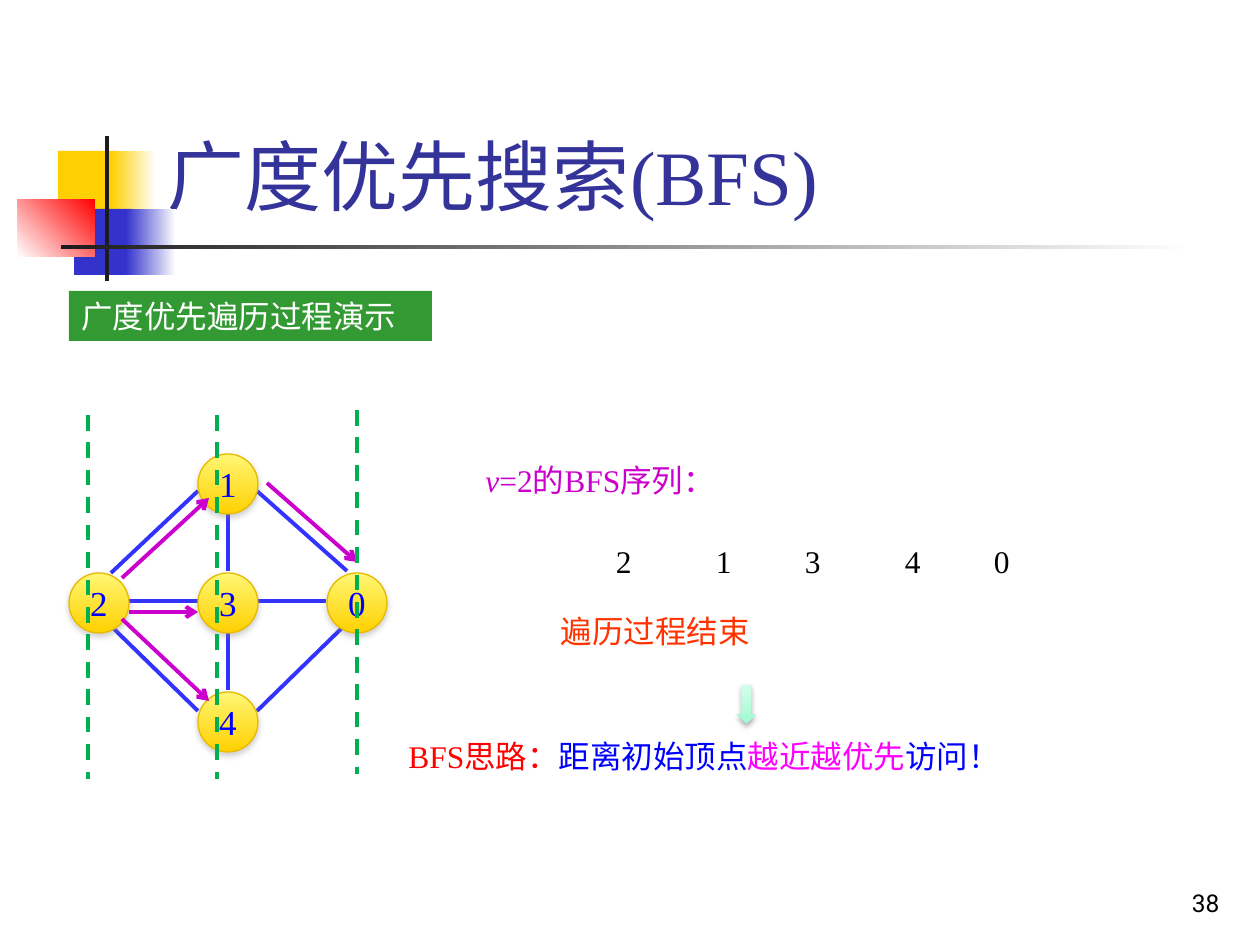
from lxml.etree import SubElement
from pptx import Presentation
from pptx.dml.color import RGBColor
from pptx.enum.dml import MSO_LINE
from pptx.enum.shapes import MSO_CONNECTOR, MSO_SHAPE as SHAPE
from pptx.enum.text import MSO_ANCHOR as ANCHOR, MSO_AUTO_SIZE, PP_ALIGN as ALIGN
from pptx.oxml import parse_xml
from pptx.oxml.ns import nsdecls, qn
from pptx.util import Pt

PX = 914400 / 126


class Theme:
    latin, east_asian, number_font = "Times New Roman", "Noto Sans CJK SC", "Roboto"
    title_size, node_size, body_size, number_size = 44, 20, 18, 14
    line_width, outline_width = 2.25, 0.75
    title, banner, white, black, dark = "333399", "339933", "FFFFFF", "000000", "1C1C1C"
    yellow, blue, red = "FFCF01", "3333CC", "FF0000"
    node_top, node_bottom, node_line, node_text = "FFF776", "FFD000", "E7BA00", "0000FF"
    edge, visit, level = "3333FF", "CC00CC", "00B050"
    done, accent = "FF3300", "FF00FF"
    mint, pale_mint, node_shadow = "A0F9D2", "D2FFEA", "808080"


def write(tf, runs, size, align=ALIGN.LEFT, anchor=ANCHOR.TOP, margin=None, wrap=True, font=Theme.latin):
    """Fill a text frame with one paragraph of (text, colour, italic) runs."""
    frame_format = {"word_wrap": wrap, "vertical_anchor": anchor, "auto_size": MSO_AUTO_SIZE.NONE}
    if margin is not None:
        frame_format.update({f"margin_{side}": margin for side in ("left", "top", "right", "bottom")})
    for name, value in frame_format.items():
        setattr(tf, name, value)
    p = tf.paragraphs[0]
    p.alignment = align
    for text, color, italic in runs:
        r = p.add_run()
        r.text = text
        for name, value in {"name": font, "size": Pt(size), "italic": italic}.items():
            setattr(r.font, name, value)
        r.font.color.rgb = RGBColor.from_string(color)
        SubElement(r.font._element, qn("a:ea"), typeface=Theme.east_asian)


def draw(kind, box, colors, angle=0, line=None, shadow=None):
    """Add a shape filled with one colour, or with a gradient of two."""
    sp = shapes.add_shape(kind, *(round(v * PX) for v in box))
    sp.shadow.inherit = False
    if len(colors) == 1:
        sp.fill.solid()
        sp.fill.fore_color.rgb = RGBColor.from_string(colors[0])
    else:
        sp.fill.gradient()
        sp.fill.gradient_angle = angle
        for stop, color in zip(sp.fill.gradient_stops, colors):
            stop.color.rgb = RGBColor.from_string(color)
    if line:
        sp.line.color.rgb = RGBColor.from_string(line)
        sp.line.width = Pt(Theme.outline_width)
    else:
        sp.line.fill.background()
    if shadow:
        effects = sp._element.spPr.find(qn("a:effectLst"))
        effects.append(parse_xml(
            f'<a:outerShdw {nsdecls("a")} blurRad="40000" dist="23000" dir="5400000" rotWithShape="0">'
            f'<a:srgbClr val="{shadow}"><a:alpha val="35000"/></a:srgbClr></a:outerShdw>'))
    return sp


prs = Presentation()
prs.slide_width, prs.slide_height = round(1260 * PX), round(945 * PX)
s = prs.slides.add_slide(prs.slide_layouts[5])
shapes = s.shapes

# Corner ornament and rule
for box, colors, angle in [
    ((58, 151, 60, 66), [Theme.yellow], 0),
    ((111, 151, 45, 66), [Theme.yellow, Theme.white], 0),
    ((74, 209, 58, 66), [Theme.blue], 0),
    ((126, 209, 50, 66), [Theme.blue, Theme.white], 0),
    ((18, 199, 77, 58), [Theme.white, Theme.red], 45),
    ((105, 136, 4, 145), [Theme.dark], 0),
    ((61, 245, 1134, 4), [Theme.dark, Theme.white], 0),
]:
    draw(SHAPE.RECTANGLE, box, colors, angle)

# Title and banner
title = shapes.title
for name, value in {"left": 155, "top": 122, "width": 1074, "height": 202}.items():
    setattr(title, name, round(value * PX))
write(title.text_frame, [("广度优先搜索(BFS)", Theme.title, False)], Theme.title_size)

banner = draw(SHAPE.RECTANGLE, (69, 291, 363, 50), [Theme.banner])
write(banner.text_frame, [("广度优先遍历过程演示", Theme.white, False)], Theme.body_size,
      anchor=ANCHOR.MIDDLE)

# Text beside the graph: box, margin, runs
notes = [
    ((473, 455, 328, 63), None, [("v", Theme.visit, True), ("=2的BFS序列：", Theme.visit, False)]),
    ((561, 612, 328, 50), 0, [("遍历过程结束", Theme.done, False)]),
    ((396, 731, 833, 63), None, [("BFS思路：", Theme.red, False),
                                 ("距离初始顶点", Theme.node_text, False),
                                 ("越近越优先", Theme.accent, False),
                                 ("访问！", Theme.node_text, False)]),
]
for x, vertex in zip((616, 716, 805, 905, 994), "21340"):
    notes.append(((x, 542, 40, 50), 0, [(vertex, Theme.black, False)]))
for box, margin, runs in notes:
    tb = shapes.add_textbox(*(round(v * PX) for v in box))
    write(tb.text_frame, runs, Theme.body_size, margin=margin)

draw(SHAPE.DOWN_ARROW, (737, 685, 19, 39), [Theme.mint, Theme.pale_mint], 90, shadow=Theme.black)

# Graph, back to front: edges, vertices, visits, levels
edges = [
    (111, 573, 198, 491), (129, 601, 198, 601), (257, 601, 326, 601), (112, 627, 198, 711),
    (257, 491, 347, 571), (257, 711, 343, 627), (228, 631, 228, 690), (228, 512, 228, 571),
]
visits = [(122, 578, 209, 498), (129, 612, 198, 612), (122, 619, 209, 701), (267, 483, 357, 562)]
levels = [(88, 415, 88, 779), (217, 415, 217, 779), (357, 410, 357, 774)]
vertices = {"3": (1, 1), "2": (0, 1), "0": (2, 1), "1": (1, 0), "4": (1, 2)}

for group, color in [(edges, Theme.edge), (visits, Theme.visit), (levels, Theme.level)]:
    if group is visits:
        for vertex, (col, row) in vertices.items():
            node = draw(SHAPE.OVAL, (69 + 129 * col, 454 + 119 * row, 60, 60),
                        [Theme.node_top, Theme.node_bottom], 270, Theme.node_line, Theme.node_shadow)
            write(node.text_frame, [(vertex, Theme.node_text, False)], Theme.node_size,
                  ALIGN.CENTER, ANCHOR.MIDDLE, wrap=False)
    for ends in group:
        cx = shapes.add_connector(MSO_CONNECTOR.STRAIGHT, *(round(v * PX) for v in ends))
        cx.line.color.rgb = RGBColor.from_string(color)
        cx.line.width = Pt(Theme.line_width)
        if group is levels:
            cx.line.dash_style = MSO_LINE.DASH
        if group is visits:
            SubElement(cx.line._get_or_add_ln(), qn("a:tailEnd"), type="arrow")
        SubElement(cx._element.spPr, qn("a:effectLst"))

# Page number
tb = shapes.add_textbox(*(round(v * PX) for v in (970, 861, 262, 63)))
write(tb.text_frame, [("38", Theme.black, False)], Theme.number_size, ALIGN.RIGHT, ANCHOR.BOTTOM,
      font=Theme.number_font)

prs.save("out.pptx")
